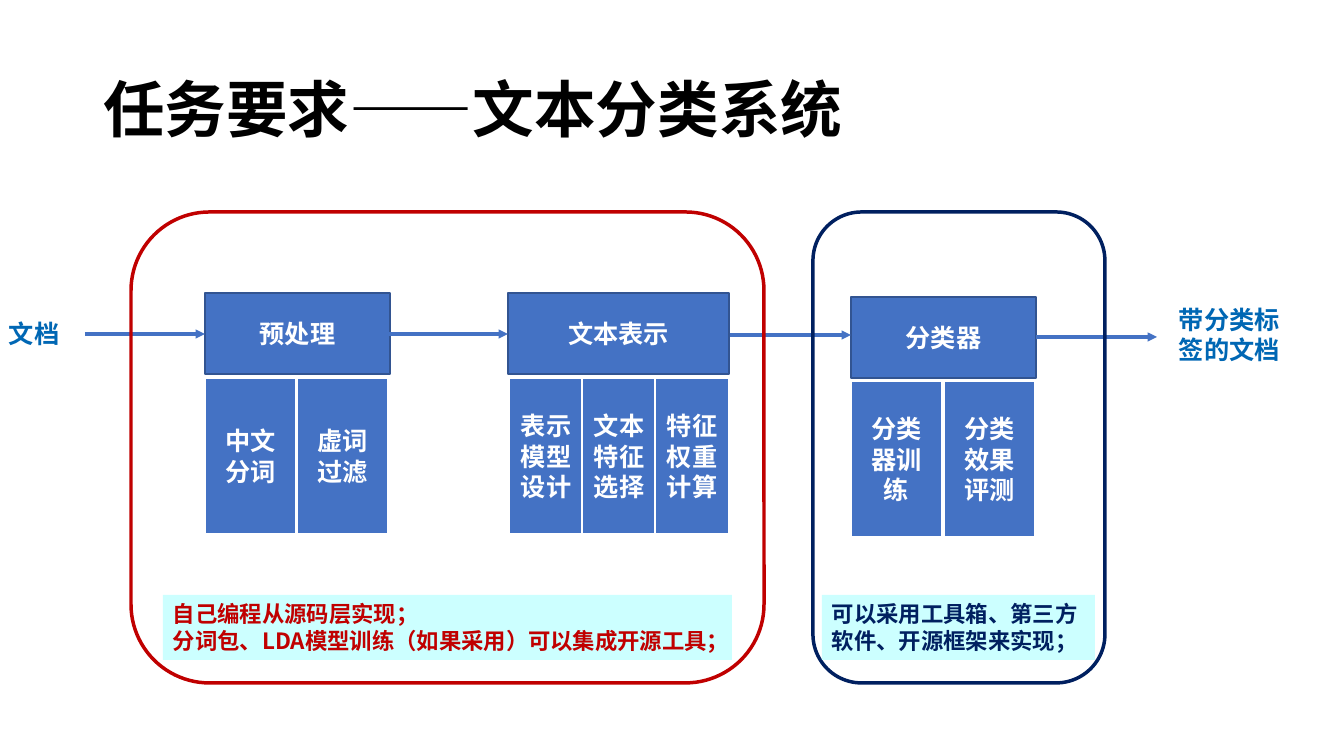
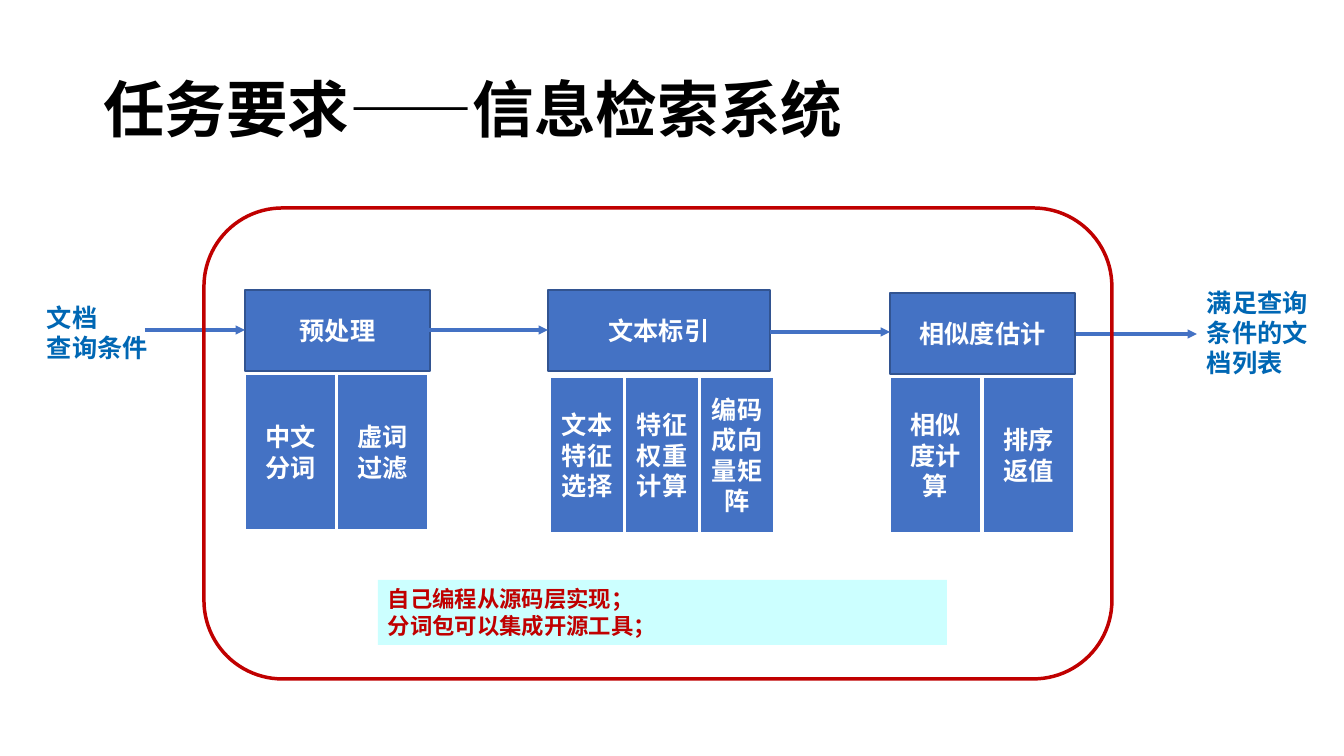
"""Builds two flow slides: text classification and information retrieval."""
from dataclasses import dataclass

from lxml.etree import SubElement
from pptx import Presentation
from pptx.dml.color import RGBColor as RGB
from pptx.enum.shapes import MSO_CONNECTOR as LINK, MSO_SHAPE as SHAPE
from pptx.enum.text import MSO_ANCHOR as ANCHOR, MSO_AUTO_SIZE as FIT, PP_ALIGN as ALIGN
from pptx.oxml.ns import qn
from pptx.util import Pt

PX = 914400 / 100.8


@dataclass(frozen=True)
class Theme:
    font: str = "Noto Sans CJK SC"
    black: str = "000000"
    white: str = "FFFFFF"
    blue: str = "4472C4"
    edge: str = "325491"
    label: str = "0067B4"
    red: str = "C00000"
    navy: str = "002060"
    pale: str = "CCFFFF"
    title: int = 44
    body: int = 18
    note: int = 16
    thin: float = 1
    flow: float = 2.25
    frame: float = 2.5


T = Theme()


def write(shape, text, size=T.body, ink=T.white, align=ALIGN.LEFT, anchor=ANCHOR.TOP, gap=1.0):
    frame = shape.text_frame
    frame.word_wrap = True
    frame.auto_size = FIT.NONE
    frame.vertical_anchor = anchor
    frame.text = text
    for para in frame.paragraphs:
        para.alignment = align
        para.line_spacing = gap
        for run in para.runs:
            font = run.font
            font.size, font.bold, font.name = Pt(size), True, T.font
            font.color.rgb = RGB.from_string(ink)
            SubElement(run.font._element, qn("a:ea"), typeface=T.font)


def draw(slide, kind, rect, fill=None, line=None, width=T.thin):
    shape = slide.shapes.add_shape(kind, *[round(n * PX) for n in rect])
    shape.shadow.inherit = False
    if fill:
        shape.fill.solid()
        shape.fill.fore_color.rgb = RGB.from_string(fill)
    else:
        shape.fill.background()
    if line:
        shape.line.color.rgb = RGB.from_string(line)
        shape.line.width = Pt(width)
    else:
        shape.line.fill.background()
    return shape


PAGES = [
    dict(
        title="任务要求——文本分类系统",
        steps=[
            ("预处理", 205, 293, 185, 205, 378, 92, 91, ["中文分词", "虚词过滤"]),
            ("文本表示", 508, 293, 221, 509, 378, 73, 74, ["表示模型设计", "文本特征选择", "特征权重计算"]),
            ("分类器", 851, 297, 185, 851, 381, 93, 91, ["分类器训练", "分类效果评测"]),
        ],
        flows=[(85, 205, 334), (387, 508, 334), (730, 851, 335), (1036, 1157, 337)],
        labels=[("文档", (-1, 313, 121, 41)), ("带分类标签的文档", (1169, 299, 124, 71))],
        groups=[
            (T.red, (131, 212, 633, 471), (163, 595, 569, 65),
             "自己编程从源码层实现；\n分词包、LDA模型训练（如果采用）可以集成开源工具；"),
            (T.navy, (813, 212, 292, 471), (822, 595, 273, 65),
             "可以采用工具箱、第三方软件、开源框架来实现；"),
        ],
    ),
    dict(
        title="任务要求——信息检索系统",
        steps=[
            ("预处理", 245, 290, 185, 245, 374, 92, 91, ["中文分词", "虚词过滤"]),
            ("文本标引", 548, 290, 222, 550, 377, 75, 74, ["文本特征选择", "特征权重计算", "编码成向量矩阵"]),
            ("相似度估计", 890, 293, 185, 890, 377, 93, 91, ["相似度计算", "排序返值"]),
        ],
        flows=[(145, 245, 330), (427, 548, 330), (770, 890, 332), (1076, 1197, 334)],
        labels=[("文档\n查询条件", (37, 297, 132, 71)), ("满足查询条件的文档列表", (1197, 282, 124, 102))],
        groups=[
            (T.red, (204, 208, 908, 471), (378, 580, 569, 65),
             "自己编程从源码层实现；\n分词包可以集成开源工具；"),
        ],
    ),
]

deck = Presentation()
deck.slide_width, deck.slide_height = round(1344 * PX), round(756 * PX)

for page in PAGES:
    slide = deck.slides.add_slide(deck.slide_layouts[5])
    title = slide.shapes.title
    title.left, title.top, title.width, title.height = [round(n * PX) for n in (93, 40, 1159, 146)]
    write(title, page["title"], size=T.title, ink=T.black, anchor=ANCHOR.MIDDLE, gap=0.9)

    for name, left, top, wide, start, low, pitch, cell, parts in page["steps"]:
        head = draw(slide, SHAPE.RECTANGLE, (left, top, wide, 81), T.blue, T.edge)
        write(head, name, align=ALIGN.CENTER, anchor=ANCHOR.MIDDLE)
        for i, part in enumerate(parts):
            box = draw(slide, SHAPE.RECTANGLE, (start + i * pitch, low, cell, 156), T.blue, T.white)
            write(box, part, align=ALIGN.CENTER, anchor=ANCHOR.MIDDLE)

    for start, end, y in page["flows"]:
        ends = [round(n * PX) for n in (start, y, end, y)]
        arrow = slide.shapes.add_connector(LINK.STRAIGHT, *ends)
        arrow.line.color.rgb = RGB.from_string(T.blue)
        arrow.line.width = Pt(T.flow)
        props = arrow.element.spPr
        SubElement(props.find(qn("a:ln")), qn("a:tailEnd"), type="triangle")
        SubElement(props, qn("a:effectLst"))

    for text, rect in page["labels"]:
        label = slide.shapes.add_textbox(*[round(n * PX) for n in rect])
        write(label, text, ink=T.label)

    for ink, rect, strip, text in page["groups"]:
        draw(slide, SHAPE.ROUNDED_RECTANGLE, rect, line=ink, width=T.frame)
        note = draw(slide, SHAPE.RECTANGLE, strip, T.pale)
        write(note, text, size=T.note, ink=ink)

deck.save("out.pptx")
